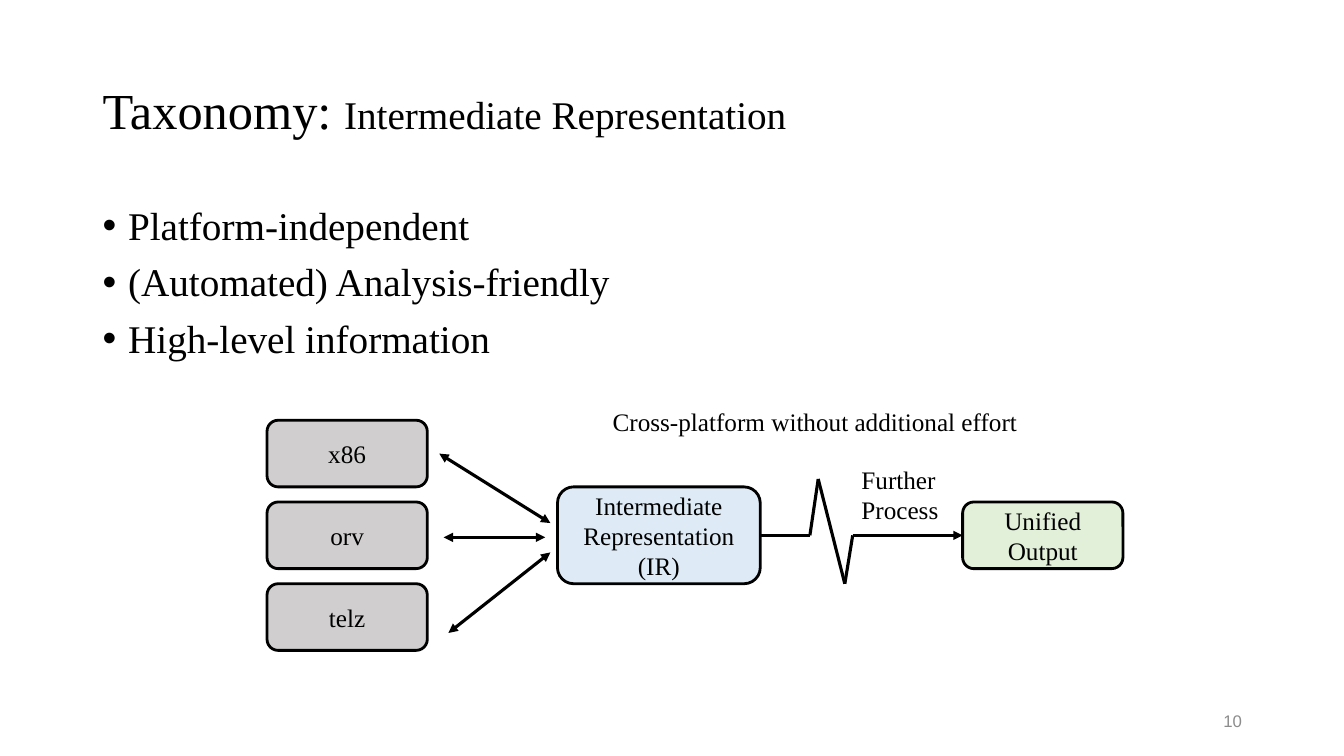
"""Build the slide on intermediate representation: three points and a flow diagram."""
from itertools import pairwise

from pptx import Presentation
from pptx.dml.color import RGBColor
from pptx.enum.shapes import MSO_CONNECTOR, MSO_SHAPE
from pptx.enum.text import MSO_ANCHOR, PP_ALIGN
from pptx.oxml.ns import qn
from pptx.util import Cm, Pt
from lxml.etree import SubElement

BLACK = RGBColor(0x00, 0x00, 0x00)
PAGE_GRAY = RGBColor(0x8C, 0x8C, 0x8C)
PLATFORM_GRAY = RGBColor(0xD0, 0xCE, 0xCE)
IR_BLUE = RGBColor(0xDE, 0xEB, 0xF7)
OUTPUT_GREEN = RGBColor(0xE2, 0xF0, 0xD9)
SERIF = "Times New Roman"


def write(shape, lines, size=18, align=PP_ALIGN.LEFT, anchor=MSO_ANCHOR.TOP,
          font=SERIF, color=BLACK):
    frame = shape.text_frame
    frame.word_wrap = True
    frame.vertical_anchor = anchor
    frame.text = "\n".join(lines)
    for para in frame.paragraphs:
        para.alignment = align
        para.font.name = font
        para.font.size = Pt(size)
        para.font.color.rgb = color
    return frame.paragraphs


def connect(start, end, arrowheads=()):
    points = [Cm(value) for value in (*start, *end)]
    connector = page.shapes.add_connector(MSO_CONNECTOR.STRAIGHT, *points)
    connector.line.color.rgb = BLACK
    connector.line.width = Pt(2.25)
    properties = connector._element.spPr
    for arrowhead in arrowheads:
        SubElement(properties.find(qn("a:ln")), qn(f"a:{arrowhead}"), type="triangle")
    SubElement(properties, qn("a:effectLst"))


deck = Presentation()
deck.slide_width = Cm(33.87)
deck.slide_height = Cm(19.05)
page = deck.slides.add_slide(deck.slide_layouts[6])

title = page.shapes.add_textbox(Cm(2.34), Cm(1.02), Cm(29.21), Cm(3.68))
heading = write(title, ["Taxonomy: "], 36, anchor=MSO_ANCHOR.MIDDLE)[0]
heading.line_spacing = 0.9
span = heading.add_run()
span.text = "Intermediate Representation"
span.font.size = Pt(28)

body = page.shapes.add_textbox(Cm(2.34), Cm(5.08), Cm(29.21), Cm(12.09))
points = ["Platform-independent", "(Automated) Analysis-friendly", "High-level information"]
for para in write(body, points, 28):
    para.line_spacing = 0.9
    para.space_before = Pt(10)
    properties = para._p.get_or_add_pPr()
    properties.set("marL", str(Cm(0.64)))
    properties.set("indent", str(-Cm(0.64)))
    SubElement(properties, qn("a:buFont"), typeface="Arial")
    SubElement(properties, qn("a:buChar"), char="•")
    properties.append(properties.find(qn("a:defRPr")))

number = page.shapes.add_textbox(Cm(23.93), Cm(17.65), Cm(7.62), Cm(1.02))
write(number, ["10"], 12, PP_ALIGN.RIGHT, MSO_ANCHOR.MIDDLE, "Arial", PAGE_GRAY)

blocks = [
    (name, 6.73, 10.59 + row * 2.06, 4.04, 1.68, PLATFORM_GRAY)
    for row, name in enumerate(["x86", "orv", "telz"])
]
blocks += [
    ("Intermediate Representation (IR)", 14.05, 12.27, 5.11, 2.44, IR_BLUE),
    ("Unified Output", 24.26, 12.65, 4.04, 1.68, OUTPUT_GREEN),
]
for name, left, top, width, height, color in blocks:
    block = page.shapes.add_shape(
        MSO_SHAPE.ROUNDED_RECTANGLE, Cm(left), Cm(top), Cm(width), Cm(height))
    block.shadow.inherit = False
    block.fill.solid()
    block.fill.fore_color.rgb = color
    block.line.color.rgb = BLACK
    block.line.width = Pt(2)
    write(block, [name], align=PP_ALIGN.CENTER, anchor=MSO_ANCHOR.MIDDLE)

pulse = [(19.15, 13.49), (20.41, 13.49), (20.62, 12.07), (21.29, 14.71), (21.49, 13.49)]
for start, end in pairwise(pulse):
    connect(start, end)
connect(pulse[-1], (24.26, 13.49), ["tailEnd"])

exchanges = [
    ((11.07, 11.43), (13.87, 13.18)),
    ((11.18, 13.54), (13.74, 13.54)),
    ((11.3, 15.95), (13.87, 13.92)),
]
for start, end in exchanges:
    connect(start, end, ["headEnd", "tailEnd"])

captions = [
    ("Further Process", 21.46, 11.58, 2.74, 1.8),
    ("Cross-platform without additional effort", 15.19, 10.11, 13.51, 1.02),
]
for text, left, top, width, height in captions:
    caption = page.shapes.add_textbox(Cm(left), Cm(top), Cm(width), Cm(height))
    write(caption, [text])

deck.save("out.pptx")
